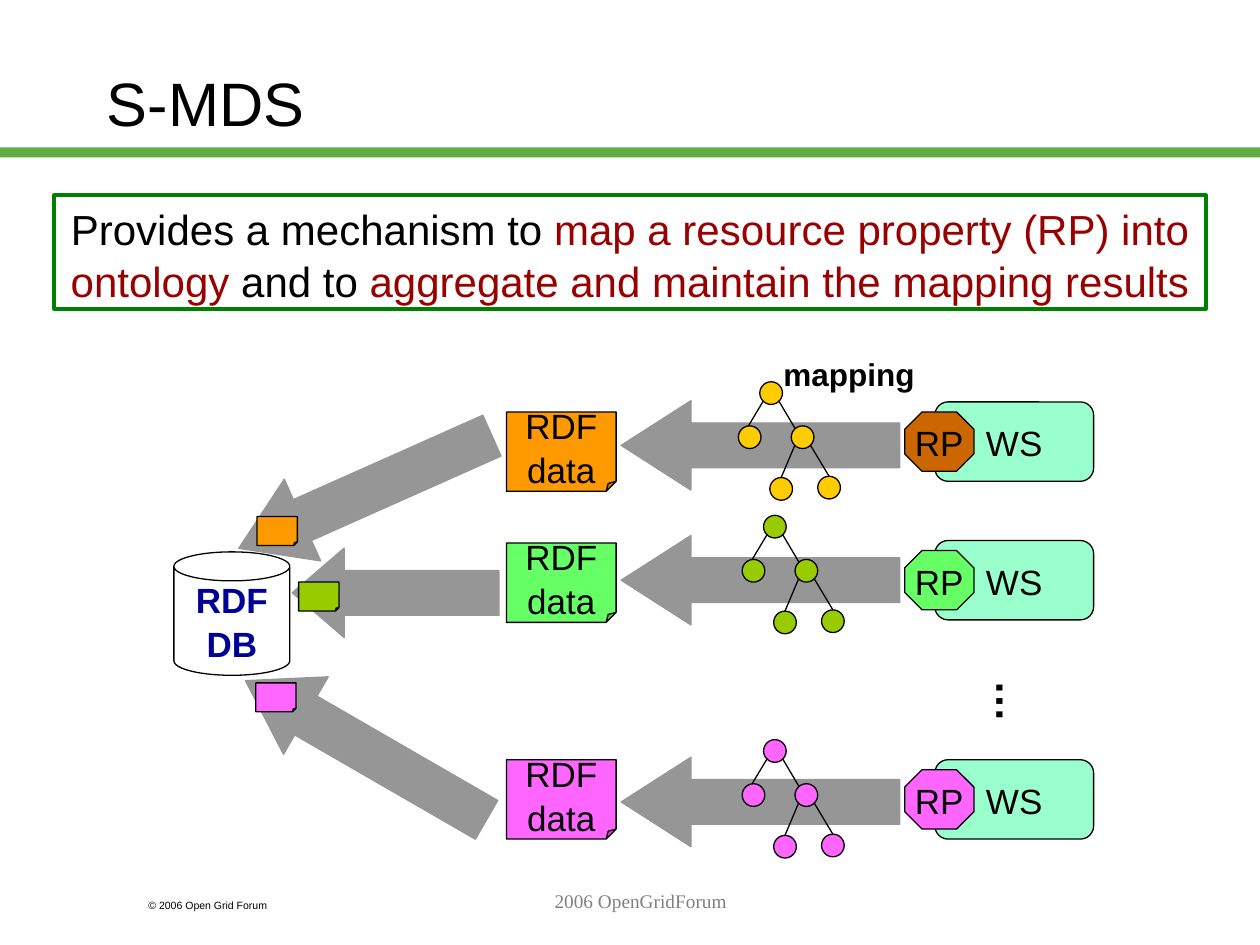
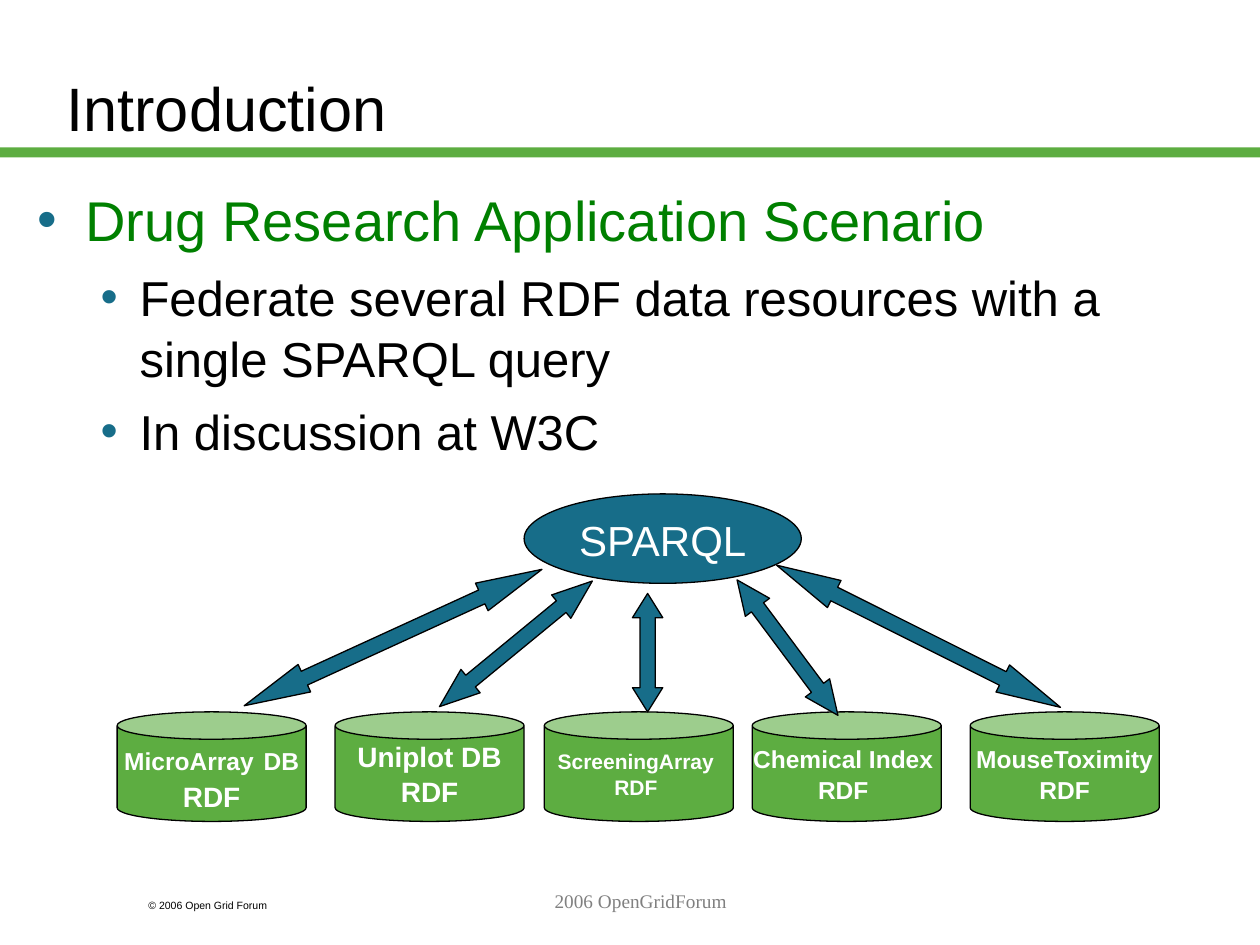
from lxml import etree
from pptx import Presentation
from pptx.dml.color import RGBColor
from pptx.enum.shapes import MSO_CONNECTOR, MSO_SHAPE as SHAPE
from pptx.enum.text import MSO_ANCHOR as ANCHOR, PP_ALIGN as ALIGN
from pptx.oxml.ns import qn
from pptx.util import Inches, Pt

COLORS = {
    "black": "000000", "white": "FFFFFF", "grey": "969696", "footer": "808080",
    "band": "5DAD41", "teal": "176D89", "green": "008000", "red": "990000",
    "navy": "000099", "mint": "99FFCC", "orange": "FF9900", "brown": "CC6600",
    "gold": "FFCC00", "lime": "66FF66", "olive": "99CC00", "pink": "FF66FF",
}
LINE_SPACING = 1.04

COPYRIGHT = "© 2006 Open Grid Forum"
FOOTER = "2006 OpenGridForum"

# S-MDS slide
SUMMARY = [
    ("Provides a mechanism to ", "black"),
    ("map a resource property (RP) into ontology", "red"),
    (" and to ", "black"),
    ("aggregate and maintain the mapping results", "red"),
]
PIPELINES = [
    dict(data="orange", rp="brown", tree="gold", data_top=3.27, service_top=3.19,
         arrow_top=3.18, root=(6.03, 3.03)),
    dict(data="lime", rp="lime", tree="olive", data_top=4.31, service_top=4.29,
         arrow_top=4.25, root=(6.06, 4.09)),
    dict(data="pink", rp="pink", tree="pink", data_top=6.03, service_top=6.03,
         arrow_top=6.01, root=(6.06, 5.87)),
]
# Offsets from the top left of the root node
TREE_NODES = [(0, 0), (-0.17, 0.35), (0.25, 0.35), (0.08, 0.76), (0.46, 0.75)]
TREE_BRANCHES = [
    ((0.03, 0.15), (-0.09, 0.35)), ((0.15, 0.15), (0.28, 0.37)),
    ((0.28, 0.5), (0.17, 0.76)), ((0.4, 0.5), (0.55, 0.75)),
]
# Arrow left, top, width, head length, rotation; then colour and corner of the document
STORE_ARROWS = [
    (1.8, 3.55, 2.2, 0.78, 336, "orange", (2.04, 4.1)),
    (2.32, 4.35, 1.64, 0.58, 0, "olive", (2.37, 4.62)),
    (1.8, 5.6, 2.21, 0.78, 30, "pink", (2.03, 5.42)),
]

# Introduction slide: text, size, colour, indent, hanging, space before
BULLETS = [
    ("Drug Research Application Scenario", 32, "green", 0.38, 0.38, 0),
    ("Federate several RDF data resources with a single SPARQL query",
     28, "black", 0.81, 0.31, 7),
    ("In discussion at W3C", 28, "black", 0.81, 0.31, 7),
]
# Left edge, then lines made of (text, size) runs
DATABASES = [
    (0.93, [[("MicroArray", 14), (" ", 20), ("DB", 14)], [("RDF", 16)]]),
    (2.66, [[("Uniplot DB", 16)], [("RDF", 16)]]),
    (4.32, [[("ScreeningArray ", 12)], [("RDF ", 12)]]),
    (5.97, [[("Chemical Index ", 14)], [("RDF ", 14)]]),
    (7.7, [[("MouseToximity", 14)], [("RDF", 14)]]),
]
# Left, top, length, rotation, head length
QUERY_ARROWS = [
    (1.82, 4.94, 2.6, 335.4, 2.19),
    (3.31, 4.99, 1.57, 320.6, 1.33),
    (5.58, 5.02, 1.34, 53.3, 1.13),
    (4.67, 5.06, 0.94, 270, 0.8),
    (6.03, 4.93, 2.52, 26.6, 2.13),
]


def rgb(color):
    return RGBColor.from_string(COLORS[color])


def add_run(paragraph, text, size, color="black", bold=False, font="Arial"):
    run = paragraph.add_run()
    run.text = text
    run.font.name = font
    run.font.size = Pt(size)
    run.font.bold = bold
    run.font.color.rgb = rgb(color)


def write(shape, lines, align=ALIGN.CENTER, anchor=ANCHOR.MIDDLE, wrap=False):
    """Fill a shape with lines, each a list of add_run argument tuples."""
    frame = shape.text_frame
    frame.word_wrap = wrap
    frame.vertical_anchor = anchor
    for index, runs in enumerate(lines):
        paragraph = frame.add_paragraph() if index else frame.paragraphs[0]
        paragraph.alignment = align
        paragraph.line_spacing = LINE_SPACING
        for run in runs:
            add_run(paragraph, *run)


def add_label(slide, box, *run, align=ALIGN.LEFT, anchor=ANCHOR.TOP, wrap=True):
    label = slide.shapes.add_textbox(*map(Inches, box))
    write(label, [[run]], align, anchor, wrap)
    return label


def set_guides(shape, **guides):
    """Set named adjust values, also for shapes that expose no adjustments."""
    geometry = shape._element.spPr.find(qn("a:prstGeom"))
    for old in geometry.findall(qn("a:avLst")):
        geometry.remove(old)
    values = etree.SubElement(geometry, qn("a:avLst"))
    for name, value in guides.items():
        etree.SubElement(values, qn("a:gd"), name=name,
                         fmla=f"val {round(value * 100000)}")


def add_shape(slide, kind, box, fill=None, line="black", weight=0.75, **guides):
    shape = slide.shapes.add_shape(kind, *map(Inches, box))
    shape.shadow.inherit = False
    if fill:
        shape.fill.solid()
        shape.fill.fore_color.rgb = rgb(fill)
    else:
        shape.fill.background()
    if line:
        shape.line.color.rgb = rgb(line)
        shape.line.width = Pt(weight)
    else:
        shape.line.fill.background()
    if guides:
        set_guides(shape, **guides)
    return shape


def add_branch(slide, start, end):
    branch = slide.shapes.add_connector(
        MSO_CONNECTOR.STRAIGHT, *map(Inches, (*start, *end)))
    branch.line.color.rgb = rgb("black")
    branch.line.width = Pt(0.75)
    etree.SubElement(branch._element.spPr, qn("a:effectLst"))


def add_bullet(paragraph, indent, hanging):
    props = paragraph._p.get_or_add_pPr()
    props.set("marL", str(Inches(indent)))
    props.set("indent", str(-Inches(hanging)))
    color = etree.SubElement(props, qn("a:buClr"))
    etree.SubElement(color, qn("a:srgbClr"), val=COLORS["teal"])
    etree.SubElement(props, qn("a:buFont"), typeface="Arial")
    etree.SubElement(props, qn("a:buChar"), char="•")


def add_base_slide(deck, title, left, top):
    """Add a slide with the title, band and footers that all slides share."""
    slide = deck.slides.add_slide(deck.slide_layouts[6])
    add_shape(slide, SHAPE.RECTANGLE, (0, 1.17, 10, 0.08), "band", None)
    add_label(slide, (1.08, 7.08, 1.5, 0.2), COPYRIGHT, 6)
    add_label(slide, (left, top, 8.5, 1.25), title, 35, anchor=ANCHOR.MIDDLE)
    add_label(slide, (2.17, 7, 5.83, 0.5), FOOTER, 11, "footer", False,
              "Times New Roman", align=ALIGN.CENTER)
    return slide


def add_grey_arrow(slide, left, top, width, head):
    return add_shape(slide, SHAPE.LEFT_ARROW, (left, top, width, 0.71), "grey",
                     "grey", adj1=0.5, adj2=head)


def add_document(slide, box, fill):
    return add_shape(slide, SHAPE.FOLDED_CORNER, box, fill, adj=0.125)


def add_tree(slide, root, fill):
    def place(offset):
        return root[0] + offset[0], root[1] + offset[1]

    for node in TREE_NODES:
        add_shape(slide, SHAPE.OVAL, (*place(node), 0.18, 0.18), fill)
    for start, end in TREE_BRANCHES:
        add_branch(slide, place(start), place(end))


def add_pipeline(slide, row):
    """Add one row: web service, resource property, mapping and RDF data."""
    document = add_document(slide, (4.02, row["data_top"], 0.87, 0.63), row["data"])
    write(document, [[("RDF", 20)], [("data", 20)]])
    top = row["service_top"]
    service = add_shape(slide, SHAPE.ROUNDED_RECTANGLE, (7.42, top, 1.26, 0.63), "mint")
    write(service, [[("WS", 20)]])
    resource = add_shape(slide, SHAPE.OCTAGON, (7.18, top + 0.08, 0.55, 0.47), row["rp"])
    write(resource, [[("RP", 20)]])
    add_grey_arrow(slide, 4.93, row["arrow_top"], 2.21, 0.78)
    add_tree(slide, row["root"], row["tree"])


def build_smds(deck):
    slide = add_base_slide(deck, "S-MDS", 0.75, 0.17)
    summary = add_shape(slide, SHAPE.RECTANGLE, (0.43, 1.55, 9.14, 0.9),
                        line="green", weight=2.25)
    write(summary, [[(text, 24, color) for text, color in SUMMARY]],
          anchor=ANCHOR.TOP, wrap=True)
    for row in PIPELINES:
        add_pipeline(slide, row)
    add_label(slide, (6.12, 2.76, 1.24, 0.4), "mapping", 18, "black", True, wrap=False)
    more = add_label(slide, (7.79, 5.32, 0.53, 0.5), "…", 24, "black", True, wrap=False)
    more.rotation = 90

    store = add_shape(slide, SHAPE.CAN, (1.38, 4.38, 0.92, 0.98), "white")
    write(store, [[(word, 20, "navy", True)] for word in ("RDF", "DB")])
    for left, top, width, head, rotation, fill, corner in STORE_ARROWS:
        add_grey_arrow(slide, left, top, width, head).rotation = rotation
        add_document(slide, (*corner, 0.32, 0.23), fill)


def build_introduction(deck):
    slide = add_base_slide(deck, "Introduction", 0.43, 0.21)
    body = slide.shapes.add_textbox(*map(Inches, (0.2, 1.4, 9.05, 2.35)))
    write(body, [[(text, size, color)] for text, size, color, *_ in BULLETS],
          ALIGN.LEFT, ANCHOR.TOP, True)
    for paragraph, (*_, indent, hanging, before) in zip(
            body.text_frame.paragraphs, BULLETS):
        paragraph.space_before = Pt(before)
        add_bullet(paragraph, indent, hanging)

    for left, lines in DATABASES:
        database = add_shape(slide, SHAPE.CAN, (left, 5.65, 1.5, 0.87), "band")
        write(database, [[(text, size, "white", True) for text, size in line]
                         for line in lines])
    query = add_shape(slide, SHAPE.OVAL, (4.16, 3.92, 2.2, 0.71), "teal")
    write(query, [[("SPARQL", 24, "white")]])
    for left, top, length, rotation, head in QUERY_ARROWS:
        arrow = add_shape(slide, SHAPE.LEFT_RIGHT_ARROW, (left, top, length, 0.24),
                          "teal", adj1=0.5, adj2=head)
        arrow.rotation = rotation


def main():
    deck = Presentation()
    deck.slide_width, deck.slide_height = Inches(10), Inches(7.5)
    build_smds(deck)
    build_introduction(deck)
    deck.save("out.pptx")


if __name__ == "__main__":
    main()
